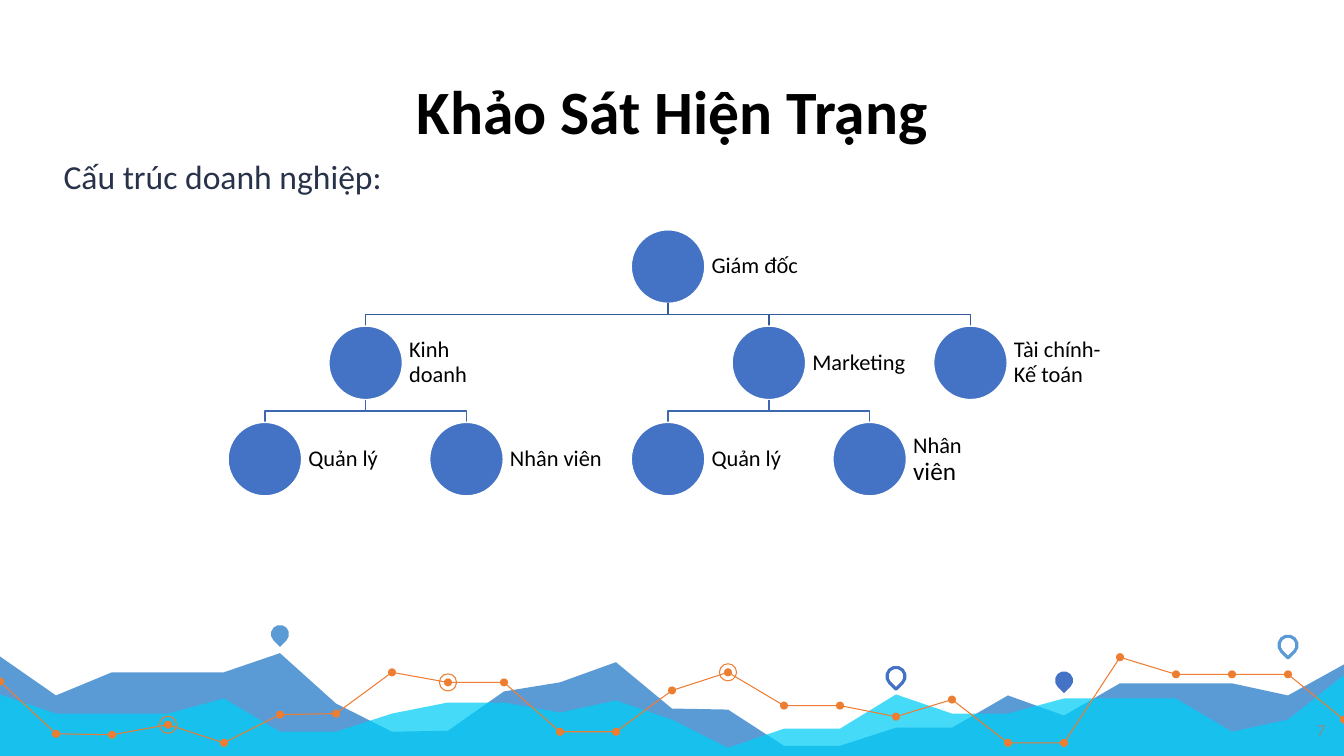
from dataclasses import dataclass

from lxml import etree
from pptx import Presentation
from pptx.dml.color import RGBColor
from pptx.enum.shapes import MSO_SHAPE
from pptx.enum.text import MSO_ANCHOR, PP_ALIGN
from pptx.oxml.ns import qn
from pptx.util import Inches, Pt

OVAL, TEARDROP = MSO_SHAPE.OVAL, MSO_SHAPE.TEAR
TOP, MIDDLE, BOTTOM = MSO_ANCHOR.TOP, MSO_ANCHOR.MIDDLE, MSO_ANCHOR.BOTTOM
LEFT, CENTER, RIGHT = PP_ALIGN.LEFT, PP_ALIGN.CENTER, PP_ALIGN.RIGHT
COLUMNS, ROWS = 24, 30


@dataclass(frozen=True)
class Theme:
    font: str = "Calibri"
    title_size: float = 44
    subtitle_size: float = 24
    large_label_size: float = 18
    label_size: float = 16
    number_size: float = 12
    black: str = "000000"
    white: str = "FFFFFF"
    navy: str = "28324A"
    gray: str = "8C8C8C"
    blue: str = "4472C4"
    sky: str = "5B9BD5"
    cyan: str = "00CEF6"
    orange: str = "ED7D31"
    upper_branch: str = "365B9D"
    lower_branch: str = "3E67B2"


class SlideBuilder:
    def __init__(self, presentation, theme):
        self.theme = theme
        self.slide = presentation.slides.add_slide(presentation.slide_layouts[6])
        self.column = presentation.slide_width / COLUMNS
        self.row = presentation.slide_height / ROWS

    def across(self, columns):
        return round(columns * self.column)

    def down(self, rows):
        return round(rows * self.row)

    def style(self, shape, fill=None, line=None, weight=1, opacity=None):
        shape.shadow.inherit = False
        for target, color in ((shape.fill, fill), (shape.line.fill, line)):
            if color is None:
                target.background()
            else:
                target.solid()
                target.fore_color.rgb = RGBColor.from_string(color)
        if line:
            shape.line.width = Pt(weight)
        if opacity:
            color_element = shape.fill._xPr.find(qn("a:solidFill"))[0]
            etree.SubElement(color_element, qn("a:alpha")).set("val", str(opacity * 1000))

    def outline(self, points, closed=False, **look):
        start, *others = [(self.across(x), self.down(y)) for x, y in points]
        builder = self.slide.shapes.build_freeform(*start, scale=1.0)
        builder.add_line_segments(others, close=closed)
        self.style(builder.convert_to_shape(), **look)

    def hill(self, heights, **look):
        left, right, base = -0.06, COLUMNS + 0.04, ROWS + 0.1
        ridge = list(enumerate(heights))
        ridge[0], ridge[-1] = (left, heights[0]), (right, heights[-1])
        self.outline(ridge + [(right, base), (left, base)], closed=True, **look)

    def marker(self, kind, column, row, diameter, rotation=0, **look):
        size = self.down(diameter)
        shape = self.slide.shapes.add_shape(
            kind, self.across(column) - size // 2, self.down(row) - size // 2, size, size)
        shape.rotation = rotation
        self.style(shape, **look)

    def text(self, runs, column, row, width, height, color,
             anchor=TOP, align=LEFT, inset=0.13, spacing=0.9, bold=False):
        box = self.slide.shapes.add_textbox(
            self.across(column), self.down(row), self.across(width), self.down(height))
        frame = box.text_frame
        paragraph = frame.paragraphs[0]
        margins = {f"margin_{side}": Inches(inset) for side in ("left", "right", "top", "bottom")}
        formats = [(frame, {"word_wrap": True, "vertical_anchor": anchor, **margins}),
                   (paragraph, {"alignment": align, "line_spacing": spacing})]
        for content, size in runs:
            run = paragraph.add_run()
            run.text = content
            run.font.color.rgb = RGBColor.from_string(color)
            formats.append((run.font, {"name": self.theme.font, "size": Pt(size), "bold": bold}))
        for target, values in formats:
            for name, value in values.items():
                setattr(target, name, value)


BACK_HILL = [25.96, 27.6, 26.68, 26.68, 26.68, 25.92, 27.92, 29.04, 29, 27.44, 27.08, 26.28,
             28.12, 28.16, 29.6, 29.6, 28.88, 28.88, 27.6, 28.4, 27.12, 27.12, 27.12, 27.6, 26.32]
FRONT_HILL = [27.52, 28.32, 28.32, 28.32, 27.72, 29.04, 29.04, 28.32, 27.88, 27.88, 28.28, 27.8,
              28.56, 29.68, 28.92, 28.92, 27.56, 28.32, 28.32, 27.72, 27.72, 27.72, 29.04, 28.56,
              26.72]
TREND = [27.04, 29.12, 29.16, 28.76, 29.48, 28.36, 28.32, 26.68, 27.08, 27.08, 29.04, 29.04,
         27.4, 26.68, 28, 28, 28.44, 27.76, 29.48, 29.48, 26.08, 26.76, 26.76, 26.76, 28.56]
TREND_BREAKS = [0, 11, 20, 24]
RINGED_COLUMNS = [3, 8, 13]

theme = Theme()
presentation = Presentation()
presentation.slide_width, presentation.slide_height = Inches(13.33), Inches(7.5)
builder = SlideBuilder(presentation, theme)

builder.hill(BACK_HILL, fill=theme.sky)
builder.hill(FRONT_HILL, fill=theme.cyan, opacity=73)
trend_points = list(enumerate(TREND))
for first, last in zip(TREND_BREAKS, TREND_BREAKS[1:]):
    builder.outline(trend_points[first:last + 1], line=theme.orange, weight=0.75)
for column, row in trend_points:
    builder.marker(OVAL, column, row, 0.32, fill=theme.orange)
for column in RINGED_COLUMNS:
    builder.marker(OVAL, column, TREND[column], 0.68, line=theme.orange, weight=0.75)

pins = [(5, 25.16, {"fill": theme.sky}), (16, 26.84, {"line": theme.blue}),
        (19, 27, {"fill": theme.blue}), (23, 25.6, {"line": theme.sky})]
for column, row, look in pins:
    builder.marker(TEARDROP, column, row, 0.72, rotation=135, weight=2.25, **look)

builder.text([("Khảo Sát Hiện Trạng", theme.title_size)], 2.83, 2.24, 18.36, 4.16,
             theme.black, anchor=BOTTOM, align=CENTER, bold=True)
builder.text([("Cấu trúc doanh nghiệp:", theme.subtitle_size)], 0.9, 5.84, 8.24, 3.72, theme.navy)
builder.text([("7", theme.number_size)], 22.46, 28.16, 1.44, 1.84,
             theme.gray, align=RIGHT, spacing=1)

FIRST_COLUMN, COLUMN_STEP = 4.73, 1.8
FIRST_ROW, ROW_STEP, DIAMETER = 10.58, 3.82, 2.92
LABEL_OFFSET, LABEL_WIDTH = 0.65, 1.96
size = theme.label_size
positions = [
    (4, 0, None, [("Giám đốc", size)]),
    (1, 1, 4, [("Kinh doanh", size)]),
    (5, 1, 4, [("Marketing", size)]),
    (7, 1, 4, [("Tài chính- Kế toán", size)]),
    (0, 2, 1, [("Quản lý", size)]),
    (2, 2, 1, [("Nhân viên", size)]),
    (4, 2, 5, [("Quản lý", size)]),
    (6, 2, 5, [("Nhân", size), (" viên", theme.large_label_size)]),
]
branch_colors = [None, theme.upper_branch, theme.lower_branch]
for place, level, parent, runs in positions:
    column = FIRST_COLUMN + place * COLUMN_STEP
    row = FIRST_ROW + level * ROW_STEP
    if parent is not None:
        parent_column = FIRST_COLUMN + parent * COLUMN_STEP
        end = row - DIAMETER / 2
        start = end - ROW_STEP + DIAMETER
        middle = (start + end) / 2
        builder.outline([(parent_column, start), (parent_column, middle),
                         (column, middle), (column, end)], line=branch_colors[level])
    builder.marker(OVAL, column, row, DIAMETER, fill=theme.blue, line=theme.white)
    builder.text(runs, column + LABEL_OFFSET, row - DIAMETER / 2, LABEL_WIDTH, DIAMETER,
                 theme.black, anchor=MIDDLE, inset=0.07)

presentation.save("out.pptx")
